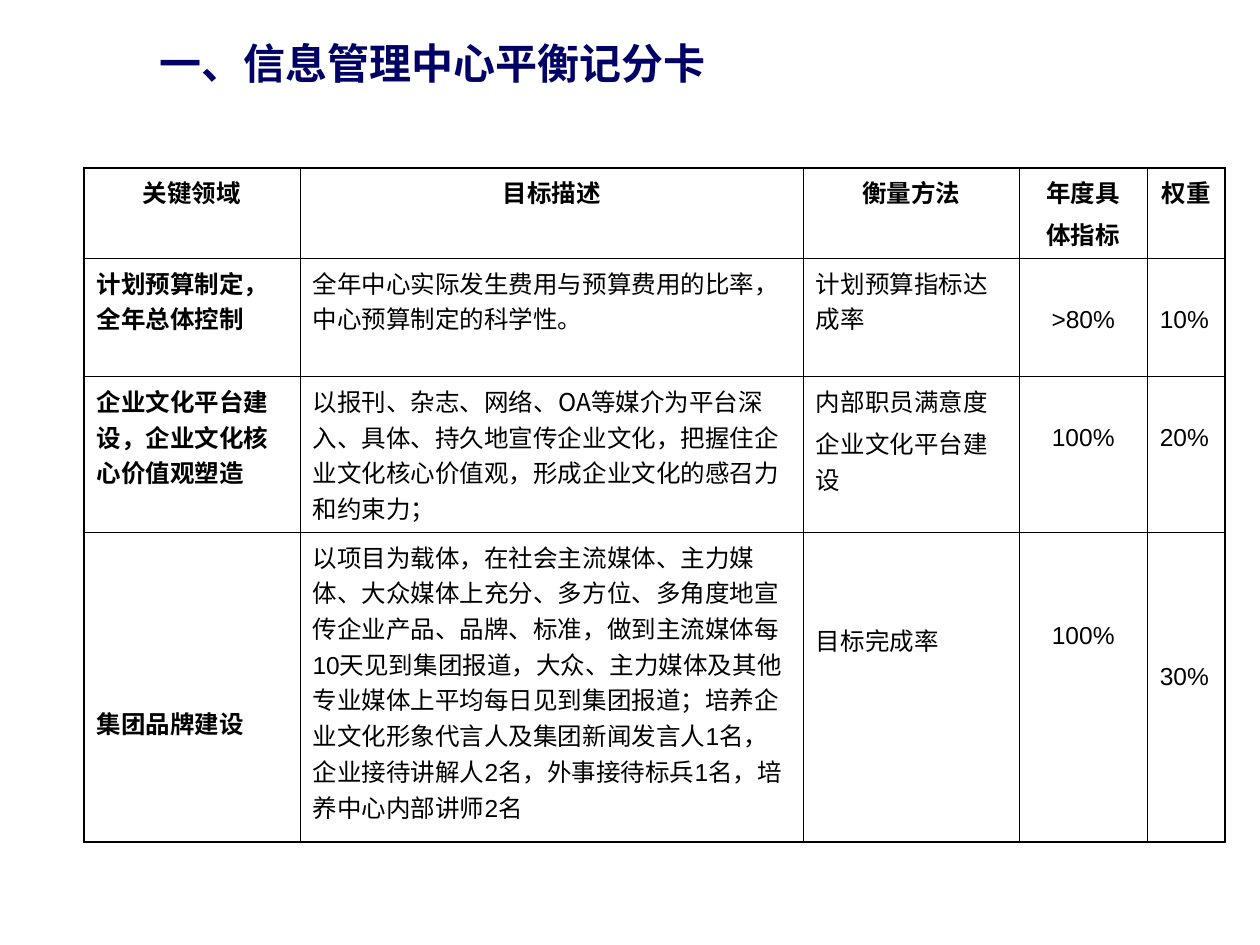
from lxml import etree
from pptx import Presentation
from pptx.dml.color import RGBColor
from pptx.enum import text
from pptx.oxml import ns
from pptx.util import Pt

COLORS = {"title": "000066", "ink": "000000", "paper": "FFFFFF"}
CJK, SERIF, SANS = "Noto Sans CJK SC", "Times New Roman", "Arial"
COLUMN_WIDTHS = [123.4, 287.7, 123.4, 73.1, 44.4]
ROW_HEIGHTS = [44.6, 67.7, 79.9, 177.1]
INSET, LINE_STEP, PARAGRAPH_GAP = 3.6, 23.8, 3.5
INNER, OUTER = 0.45, 1.08

HEADINGS = ["关键领域", "目标描述", "衡量方法", "年度具\n体指标", "权重"]

# Each entry: wording, font, number of lines the text is lowered by
GOALS = [
    [("计划预算制定，全年总体控制", CJK, 0),
     ("全年中心实际发生费用与预算费用的比率，中心预算制定的科学性。", SERIF, 0),
     ("计划预算指标达成率", CJK, 0), (">80%", SANS, 1), ("10%", SANS, 1)],
    [("企业文化平台建设，企业文化核心价值观塑造", CJK, 0),
     ("以报刊、杂志、网络、OA等媒介为平台深入、具体、持久地宣传企业文化，"
      "把握住企业文化核心价值观，形成企业文化的感召力和约束力；", CJK, 0),
     ("内部职员满意度\n企业文化平台建设", CJK, 0), ("100%", SANS, 1), ("20%", SANS, 1)],
    [("集团品牌建设", CJK, 4),
     ("以项目为载体，在社会主流媒体、主力媒体、大众媒体上充分、多方位、多角度地宣传"
      "企业产品、品牌、标准，做到主流媒体每10天见到集团报道，大众、主力媒体及其他"
      "专业媒体上平均每日见到集团报道；培养企业文化形象代言人及集团新闻发言人1名，"
      "企业接待讲解人2名，外事接待标兵1名，培养中心内部讲师2名", SANS, 0),
     ("目标完成率", CJK, 2), ("100%", SANS, 2), ("30%", SANS, 3)],
]


def rgb(name):
    return RGBColor.from_string(COLORS[name])


def style_paragraph(paragraph, size, font_name, color, bold):
    font = paragraph.font
    font.size, font.bold = Pt(size), bold
    font.color.rgb = rgb(color)
    font.name = font_name
    properties = paragraph._p.pPr
    # Keep punctuation inside the right edge of the text
    properties.set("hangingPunct", "0")
    latin = properties.find(ns.qn("a:defRPr")).find(ns.qn("a:latin"))
    latin.addnext(etree.Element(ns.qn("a:ea"), typeface=CJK))


def set_borders(cell, widths):
    """Widths are left, right, top, bottom."""
    properties = cell._tc.get_or_add_tcPr()
    for position, (side, width) in enumerate(zip("LRTB", widths)):
        line = etree.Element(ns.qn(f"a:ln{side}"), w=str(int(Pt(width))))
        fill = etree.SubElement(line, ns.qn("a:solidFill"))
        etree.SubElement(fill, ns.qn("a:srgbClr"), val=COLORS["ink"])
        properties.insert(position, line)


def fill_cell(cell, wording, font_name, lowered, bold, centred):
    cell.fill.solid()
    cell.fill.fore_color.rgb = rgb("paper")
    cell.margin_left = cell.margin_right = Pt(2 * INSET)
    cell.margin_top = Pt(INSET + lowered * LINE_STEP)
    cell.margin_bottom = Pt(INSET)
    cell.text_frame.text = wording
    for index, paragraph in enumerate(cell.text_frame.paragraphs):
        if centred:
            paragraph.alignment = text.PP_ALIGN.CENTER
        if index:
            paragraph.space_before = Pt(PARAGRAPH_GAP)
        style_paragraph(paragraph, 14, font_name, "ink", bold)


def add_title(slide, wording):
    box = slide.shapes.add_textbox(Pt(84), Pt(18), Pt(636), Pt(36))
    frame = box.text_frame
    frame.word_wrap = True
    frame.auto_size = text.MSO_AUTO_SIZE.SHAPE_TO_FIT_TEXT
    frame.vertical_anchor = text.MSO_ANCHOR.MIDDLE
    frame.text = wording
    style_paragraph(frame.paragraphs[0], 24, CJK, "title", True)


def add_scorecard(slide):
    rows = [[(heading, CJK, 0) for heading in HEADINGS]] + GOALS
    last_row, last_column = len(rows) - 1, len(HEADINGS) - 1
    frame = slide.shapes.add_table(
        len(rows), len(HEADINGS), Pt(48), Pt(96),
        Pt(sum(COLUMN_WIDTHS)), Pt(sum(ROW_HEIGHTS)))
    table = frame.table
    table.horz_banding = False
    for column, width in zip(table.columns, COLUMN_WIDTHS):
        column.width = Pt(width)
    for row, height in zip(table.rows, ROW_HEIGHTS):
        row.height = Pt(height)

    for r, entries in enumerate(rows):
        for c, (wording, font_name, lowered) in enumerate(entries):
            cell = table.cell(r, c)
            fill_cell(cell, wording, font_name, lowered,
                      bold=r == 0 or c == 0, centred=r == 0 or c == 3)
            on_edge = (c == 0, c == last_column, r == 0, r == last_row)
            set_borders(cell, [OUTER if edge else INNER for edge in on_edge])


def main():
    presentation = Presentation()
    presentation.slide_width, presentation.slide_height = Pt(720), Pt(540)
    slide = presentation.slides.add_slide(presentation.slide_layouts[6])
    # Scorecard table, then the heading above it
    add_scorecard(slide)
    add_title(slide, "一、信息管理中心平衡记分卡")
    presentation.save("out.pptx")


if __name__ == "__main__":
    main()
